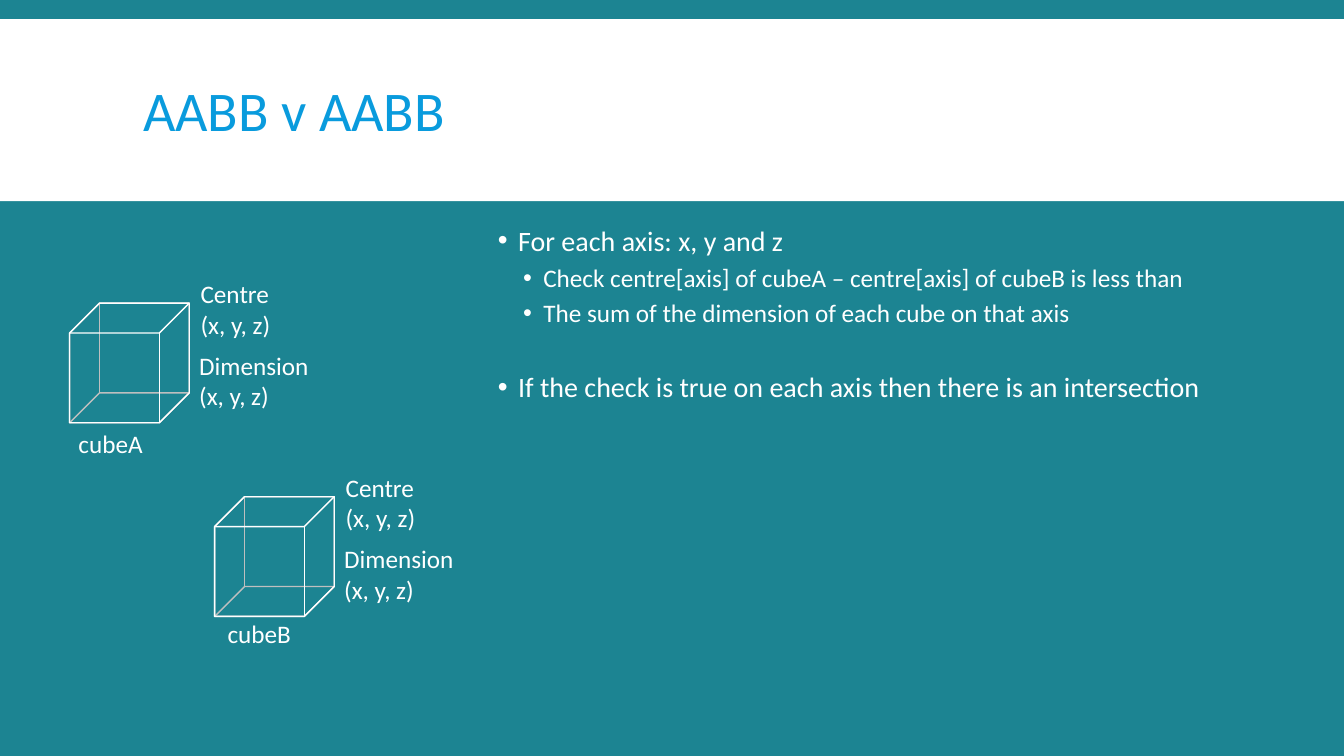
from pptx import Presentation
from pptx.dml.color import RGBColor
from pptx.enum.shapes import MSO_SHAPE
from pptx.enum.text import MSO_ANCHOR, MSO_AUTO_SIZE, PP_ALIGN
from pptx.oxml.ns import qn
from pptx.util import Pt
from lxml import etree

CUBE, RECT = MSO_SHAPE.CUBE, MSO_SHAPE.RECTANGLE
MIDDLE, TOP = MSO_ANCHOR.MIDDLE, MSO_ANCHOR.TOP
FIXED, GROW = MSO_AUTO_SIZE.NONE, MSO_AUTO_SIZE.SHAPE_TO_FIT_TEXT
LEFT = PP_ALIGN.LEFT

FONT = "Calibri"
COLORS = {"teal": "1C8492", "white": "FFFFFF", "blue": "099BDD", "grey": "BFBFBF"}

# (level, text, size, space before)
BULLETS = [
    (1, "For each axis: x, y and z", 20, 2),
    (2, "Check centre[axis] of cubeA – centre[axis] of cubeB is less than", 18, 2),
    (2, "The sum of the dimension of each cube on that axis", 18, 2),
    (1, "If the check is true on each axis then there is an intersection", 20, 28),
]
INDENTS = {1: 32.4, 2: 50.4}
HANG = 14.4


def color(name):
    return RGBColor.from_string(COLORS[name])


def place(sp, x, y, w, h):
    sp.left, sp.top, sp.width, sp.height = Pt(x), Pt(y), Pt(w), Pt(h)


def add_run(p, text, size, name="white"):
    r = p.add_run()
    r.text = text
    r.font.name, r.font.size = FONT, Pt(size)
    r.font.color.rgb = color(name)


def add_bullet(p, left):
    pPr = p._p.get_or_add_pPr()
    pPr.set("marL", str(Pt(left)))
    pPr.set("indent", str(-Pt(HANG)))
    buClr = etree.SubElement(pPr, qn("a:buClr"))
    etree.SubElement(buClr, qn("a:srgbClr")).set("val", COLORS["white"])
    etree.SubElement(pPr, qn("a:buFont")).set("typeface", "Arial")
    etree.SubElement(pPr, qn("a:buChar")).set("char", "•")


def add_label(shapes, x, y, w, h, lines):
    tf = shapes.add_textbox(Pt(x), Pt(y), Pt(w), Pt(h)).text_frame
    tf.word_wrap, tf.auto_size = True, GROW
    for i, line in enumerate(lines):
        p = tf.add_paragraph() if i else tf.paragraphs[0]
        add_run(p, line, 18)


# Title on its white band
def add_title(s, x, y, w, h):
    band = s.shapes.add_shape(RECT, Pt(x), Pt(y), Pt(w), Pt(h))
    band.shadow.inherit = False
    band.fill.solid()
    band.fill.fore_color.rgb = color("white")
    band.line.fill.background()
    s.shapes._spTree.insert(2, band._element)  # behind the title

    title = s.shapes.title
    place(title, x + 95, y + 8.6, 770.4, 118.8)
    tf = title.text_frame
    tf.vertical_anchor, tf.auto_size = MIDDLE, FIXED
    p = tf.paragraphs[0]
    p.alignment, p.line_spacing = LEFT, 0.85
    add_run(p, "AABB v AABB", 40, "blue")


# Bulleted explanation
def add_body(s, x, y, w, h):
    body = s.placeholders[1]
    place(body, x, y, w, h)
    tf = body.text_frame
    tf.vertical_anchor, tf.auto_size = TOP, FIXED
    for i, (level, text, size, before) in enumerate(BULLETS):
        p = tf.add_paragraph() if i else tf.paragraphs[0]
        p.level, p.line_spacing = level, 0.9
        p.space_before, p.space_after = Pt(before), Pt(4)
        add_bullet(p, INDENTS[level])
        add_run(p, text, size)


# Wireframe cube with its centre and dimension labels
def add_cube(s, x, y, w, h):
    shapes = s.shapes.add_group_shape().shapes
    for rotation, name in ((180, "grey"), (0, "white")):  # hidden edges, then front
        sp = shapes.add_shape(CUBE, Pt(x), Pt(y), Pt(w), Pt(h))
        sp.rotation = rotation
        sp.shadow.inherit = False
        sp.fill.background()
        sp.line.color.rgb = color(name)
        sp.line.width = Pt(1)
    add_label(shapes, x + w + 1, y - 21, 72, 51, ["Centre", "(x, y, z)"])
    add_label(shapes, x + w, y + 30, 95, 51, ["Dimension", "(x, y, z)"])


def main():
    prs = Presentation()
    prs.slide_width, prs.slide_height = Pt(960), Pt(540)
    s = prs.slides.add_slide(prs.slide_layouts[1])
    s.background.fill.solid()
    s.background.fill.fore_color.rgb = color("teal")

    add_title(s, 0, 13.7, 960, 129.9)
    add_body(s, 330.5, 158.4, 534.2, 331.2)
    add_label(s.shapes, 49, 302.4, 72, 29, ["cubeA"])
    add_label(s.shapes, 155.5, 437.8, 72, 29, ["cubeB"])
    add_cube(s, 49.7, 216.5, 85.5, 85.5)
    add_cube(s, 153.3, 354.8, 85.5, 85.5)
    prs.save("out.pptx")


if __name__ == "__main__":
    main()
